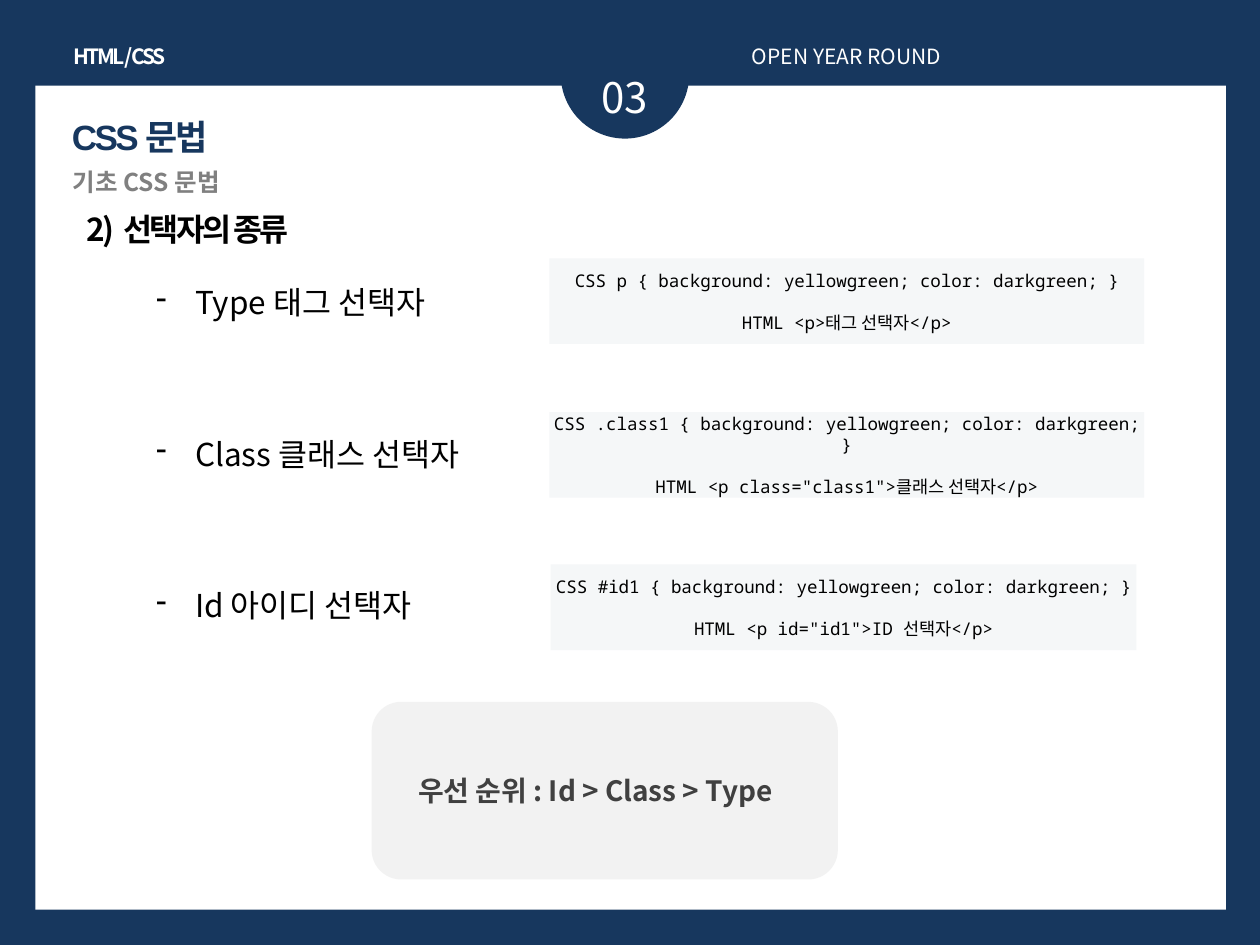
from pptx import Presentation
from pptx.dml.color import RGBColor
from pptx.enum import shapes, text
from pptx.oxml.ns import qn
from pptx.util import Inches, Pt
from lxml import etree

NAVY = RGBColor(0x17, 0x37, 0x5E)
WHITE = RGBColor(0xFF, 0xFF, 0xFF)
BLACK = RGBColor(0, 0, 0)
GRAY = RGBColor(0x80, 0x80, 0x80)
DARK_GRAY = RGBColor(0x40, 0x40, 0x40)
PALE_GRAY = RGBColor(0xF2, 0xF2, 0xF2)
CODE_GRAY = RGBColor(0xF5, 0xF7, 0xF8)
SANS, MONO, TITLE_FONT = "Noto Sans CJK KR", "Noto Sans Mono", "Arial"
LEFT, CENTER = text.PP_ALIGN.LEFT, text.PP_ALIGN.CENTER

SELECTORS = ["Type 태그 선택자", "Class 클래스 선택자", "Id 아이디 선택자"]
EXAMPLES = [
    ((4.36, 2.05, 4.72, 0.68),
     ["CSS p { background: yellowgreen; color: darkgreen; }",
      "HTML <p>태그 선택자</p>"]),
    ((4.36, 3.27, 4.72, 0.68),
     ["CSS .class1 { background: yellowgreen; color: darkgreen; }",
      'HTML <p class="class1">클래스 선택자</p>']),
    ((4.37, 4.48, 4.65, 0.68),
     ["CSS #id1 { background: yellowgreen; color: darkgreen; }",
      'HTML <p id="id1">ID 선택자</p>']),
]


def write(shape, lines, size, color, font=SANS, bold=False, align=LEFT, spacing=None):
    """Fill a shape with one paragraph per line, all in one style."""
    frame = shape.text_frame
    frame.text = "\n".join(lines)
    for para in frame.paragraphs:
        para.alignment = align
        for span in para.runs:
            span.font.name, span.font.size = font, Pt(size)
            span.font.bold = bold
            span.font.color.rgb = color
            properties = span._r.get_or_add_rPr()
            east_asian = etree.Element(qn("a:ea"), typeface=SANS)
            properties.find(qn("a:latin")).addnext(east_asian)
            if spacing is not None:
                properties.set("spc", str(int(spacing * 100)))
    return frame


def add_label(page, box, lines, size, color, wrap=True, **style):
    label = page.shapes.add_textbox(*map(Inches, box))
    frame = write(label, lines, size, color, **style)
    frame.word_wrap = wrap
    return frame


def add_panel(page, kind, box, color):
    panel = page.shapes.add_shape(kind, *map(Inches, box))
    panel.shadow.inherit = False
    panel.fill.solid()
    panel.fill.fore_color.rgb = color
    panel.line.fill.background()
    return panel


def add_frame(page, box):
    """White sheet on navy, with the header texts and the number badge."""
    left, top, width, height = box
    page.background.fill.solid()
    page.background.fill.fore_color.rgb = NAVY
    add_panel(page, shapes.MSO_SHAPE.RECTANGLE, box, WHITE)
    add_panel(page, shapes.MSO_SHAPE.OVAL, (left + 4.17, top - 0.6, 1.02, 1.02), NAVY)
    add_label(page, (left + 4.09, top - 0.16, 1.18, 0.5), ["03"], 24, WHITE, align=CENTER)
    add_label(page, (left + 0.19, top - 0.38, 0.96, 0.3), ["HTML / CSS"], 12, WHITE,
              wrap=False, bold=True, align=CENTER, spacing=-1.5)
    add_label(page, (left + 5.59, top - 0.38, 3.94, 0.3), ["OPEN YEAR ROUND"], 12, WHITE,
              align=text.PP_ALIGN.JUSTIFY)


def add_headings(page, box):
    left, top, width, height = box
    title = page.shapes.title
    title.left, title.top, title.width, title.height = map(Inches, box)
    frame = write(title, ["CSS 문법"], 20, NAVY, font=TITLE_FONT, bold=True, spacing=-1.5)
    frame.vertical_anchor = text.MSO_ANCHOR.TOP
    frame.auto_size = text.MSO_AUTO_SIZE.NONE
    page.shapes._spTree.append(title._element)  # in front of the white sheet
    add_label(page, (left + 0.01, top + 0.41, 3.54, 0.34), ["기초 CSS 문법"], 14, GRAY, bold=True)
    add_label(page, (left + 0.12, top + 0.75, 7.4, 0.4), ["2)  선택자의 종류"], 18, BLACK,
              bold=True, spacing=-1.5)


def add_selector_list(page, box):
    frame = add_label(page, box, SELECTORS, 18, BLACK)
    for para in frame.paragraphs:
        para.line_spacing = para.space_after = Pt(43.2)
        properties = para._p.get_or_add_pPr()
        properties.set("marL", str(Inches(0.31)))
        properties.set("indent", str(-Inches(0.31)))
        etree.SubElement(properties, qn("a:buChar"), char="-")


def add_code_example(page, box, lines):
    panel = add_panel(page, shapes.MSO_SHAPE.RECTANGLE, box, CODE_GRAY)
    frame = write(panel, lines, 10, BLACK, font=MONO, align=CENTER)
    frame.margin_left = frame.margin_right = 0
    frame.margin_top = frame.margin_bottom = Inches(0.09)
    frame.vertical_anchor = text.MSO_ANCHOR.MIDDLE
    frame.paragraphs[1].space_before = Pt(12)


def add_priority(page, box):
    left, top, width, height = box
    add_panel(page, shapes.MSO_SHAPE.ROUNDED_RECTANGLE, box, PALE_GRAY)
    add_label(page, (left + 0.27, top + 0.52, 3.39, 0.37),
              ["우선 순위 : Id > Class > Type"], 16, DARK_GRAY, bold=True)


def main():
    deck = Presentation()
    deck.slide_width, deck.slide_height = Inches(10), Inches(7.5)
    page = deck.slides.add_slide(deck.slide_layouts[5])
    add_frame(page, (0.28, 0.68, 9.45, 6.54))
    add_headings(page, (0.47, 0.87, 1.89, 0.84))
    add_selector_list(page, (1.14, 1.9, 2.92, 4.25))
    for box, lines in EXAMPLES:
        add_code_example(page, box, lines)
    add_priority(page, (2.95, 5.57, 3.7, 1.41))
    deck.save("out.pptx")


if __name__ == "__main__":
    main()
